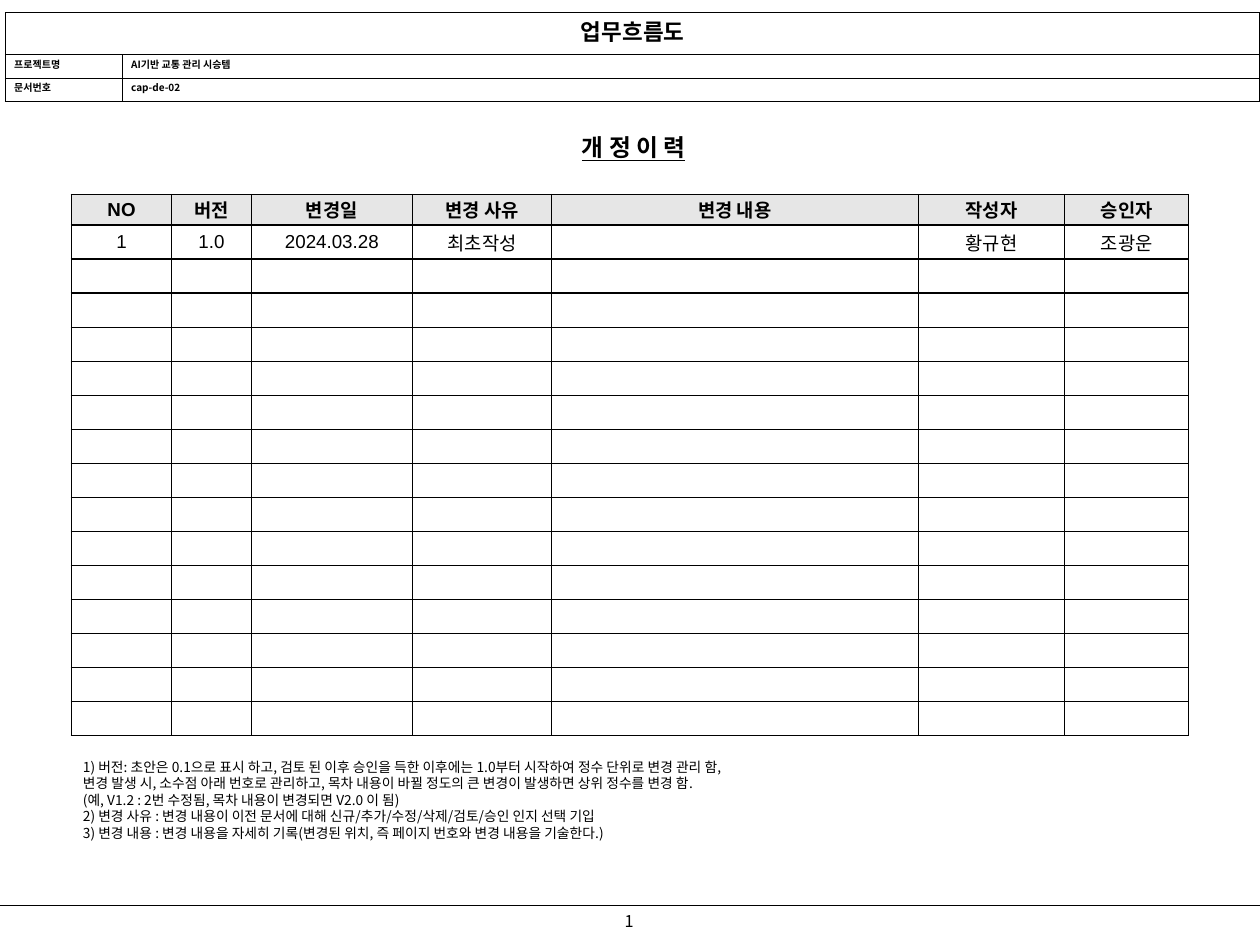
from lxml.etree import SubElement as Sub
from pptx import Presentation
from pptx.dml.color import RGBColor
from pptx.enum.shapes import MSO_CONNECTOR as Link
from pptx.enum.text import MSO_ANCHOR as Anchor, PP_ALIGN as Align
from pptx.oxml.ns import qn
from pptx.util import Cm, Pt

NOTES = [
    "1) 버전: 초안은 0.1으로 표시 하고, 검토 된 이후 승인을 득한 이후에는 1.0부터 시작하여 정수 단위로 변경 관리 함,",
    "변경 발생 시, 소수점 아래 번호로 관리하고, 목차 내용이 바뀔 정도의 큰 변경이 발생하면 상위 정수를 변경 함.",
    "(예, V1.2 : 2번 수정됨, 목차 내용이 변경되면 V2.0 이 됨)",
    "2) 변경 사유 : 변경 내용이 이전 문서에 대해 신규/추가/수정/삭제/검토/승인 인지 선택 기입",
    "3) 변경 내용 : 변경 내용을 자세히 기록(변경된 위치, 즉 페이지 번호와 변경 내용을 기술한다.)",
]
HEADS = ["NO", "버전", "변경일", "변경 사유", "변경 내용", "작성자", "승인자"]
FIRST = ["1", "1.0", "2024.03.28", "최초작성", "", "황규현", "조광운"]
BLANKS = 14


def color(code):
    return RGBColor.from_string(code)


class Page:
    font = "Noto Sans CJK KR"
    ink = "000000"

    def __init__(self, slide):
        self.slide = slide

    def style(self, frame, size, bold=False, align=Align.LEFT, line=None, font=None):
        for para in frame.paragraphs:
            para.alignment = align
            for run in para.runs:
                face = run.font
                face.name = font or self.font
                face.size, face.bold, face.underline = Pt(size), bold, line
                face.color.rgb = color(self.ink)
                # Korean glyphs use the East Asian typeface
                east = Sub(run._r.get_or_add_rPr(), qn("a:ea"))
                east.set("typeface", self.font)

    def text(self, words, left, top, width, height, size, wrap=True,
             anchor=Anchor.TOP, **look):
        box = self.slide.shapes.add_textbox(Cm(left), Cm(top), Cm(width), Cm(height))
        frame = box.text_frame
        frame.word_wrap, frame.vertical_anchor = wrap, anchor
        frame.margin_left = frame.margin_right = Cm(0.33)
        frame.margin_top = frame.margin_bottom = Cm(0.18)
        frame.text = words
        self.style(frame, size, **look)

    def rule(self, left, top, right):
        line = self.slide.shapes.add_connector(
            Link.STRAIGHT, Cm(left), Cm(top), Cm(right), Cm(top))
        line.line.color.rgb = color(self.ink)
        line.line.width = Pt(1)
        Sub(line._element.spPr, qn("a:effectLst"))

    def table(self, left, top, cols, rows):
        shape = self.slide.shapes.add_table(
            len(rows), len(cols), Cm(left), Cm(top), Cm(sum(cols)), Cm(sum(rows)))
        grid = shape.table
        grid.first_row = grid.horz_banding = False
        for col, width in zip(grid.columns, cols):
            col.width = Cm(width)
        for row, height in zip(grid.rows, rows):
            row.height = Cm(height)
        return grid

    def cell(self, cell, words, size, fill=None, side=0.23, edge=0,
             anchor=Anchor.MIDDLE, **look):
        cell.margin_left = cell.margin_right = Cm(side)
        cell.margin_top = cell.margin_bottom = Cm(edge)
        cell.vertical_anchor = anchor
        self.frame(cell)
        if fill:
            cell.fill.solid()
            cell.fill.fore_color.rgb = color(fill)
        else:
            cell.fill.background()
        cell.text_frame.text = words
        self.style(cell.text_frame, size, **look)

    def frame(self, cell):
        props = cell._tc.get_or_add_tcPr()
        for name in ("lnL", "lnR", "lnT", "lnB"):
            line = Sub(props, qn(f"a:{name}"), w=str(Pt(1)))
            Sub(Sub(line, qn("a:solidFill")), qn("a:srgbClr"), val=self.ink)


def main():
    deck = Presentation()
    deck.slide_width, deck.slide_height = Cm(35.56), Cm(26.67)
    page = Page(deck.slides.add_slide(deck.slide_layouts[6]))

    # Footer
    page.text("1", 17.07, 25.55, 1.37, 0.89, 13, wrap=False, align=Align.CENTER)
    page.rule(0, 25.55, 35.56)

    # Heading
    page.text("개 정 이 력", 14.78, 3.56, 6.2, 1.19, 19, anchor=Anchor.MIDDLE,
              bold=True, align=Align.CENTER, line=True)

    # Revision history
    data = [HEADS, FIRST] + [[""] * len(HEADS)] * BLANKS
    cols = [2.84, 2.24, 4.55, 3.93, 10.34, 4.14, 3.5]
    log = page.table(2.01, 5.49, cols, [0.86] + [0.96] * (BLANKS + 1))
    for r, row in enumerate(data):
        for c, words in enumerate(row):
            page.cell(log.cell(r, c), words, 15, fill=None if r else "E6E6E6",
                      bold=r == 0, align=Align.CENTER, font="Arial")

    # Notes
    page.text("\n".join(NOTES), 2.01, 21.23, 31.55, 2.69, 11)

    # Document header
    info = [["업무흐름도", ""],
            ["프로젝트명", "AI기반 교통 관리 시승템"],
            ["문서번호", "cap-de-02"]]
    head = page.table(0.15, 0.36, [3.3, 32.11], [1.19, 0.66, 0.66])
    for r, row in enumerate(info):
        for c, words in enumerate(row):
            page.cell(head.cell(r, c), words, 8 if r else 18, fill="FFFFFF",
                      side=0.25, edge=0.05, anchor=Anchor.TOP, bold=True,
                      align=Align.LEFT if r else Align.CENTER)
    head.cell(0, 0).merge(head.cell(0, 1))

    deck.save("out.pptx")


if __name__ == "__main__":
    main()
